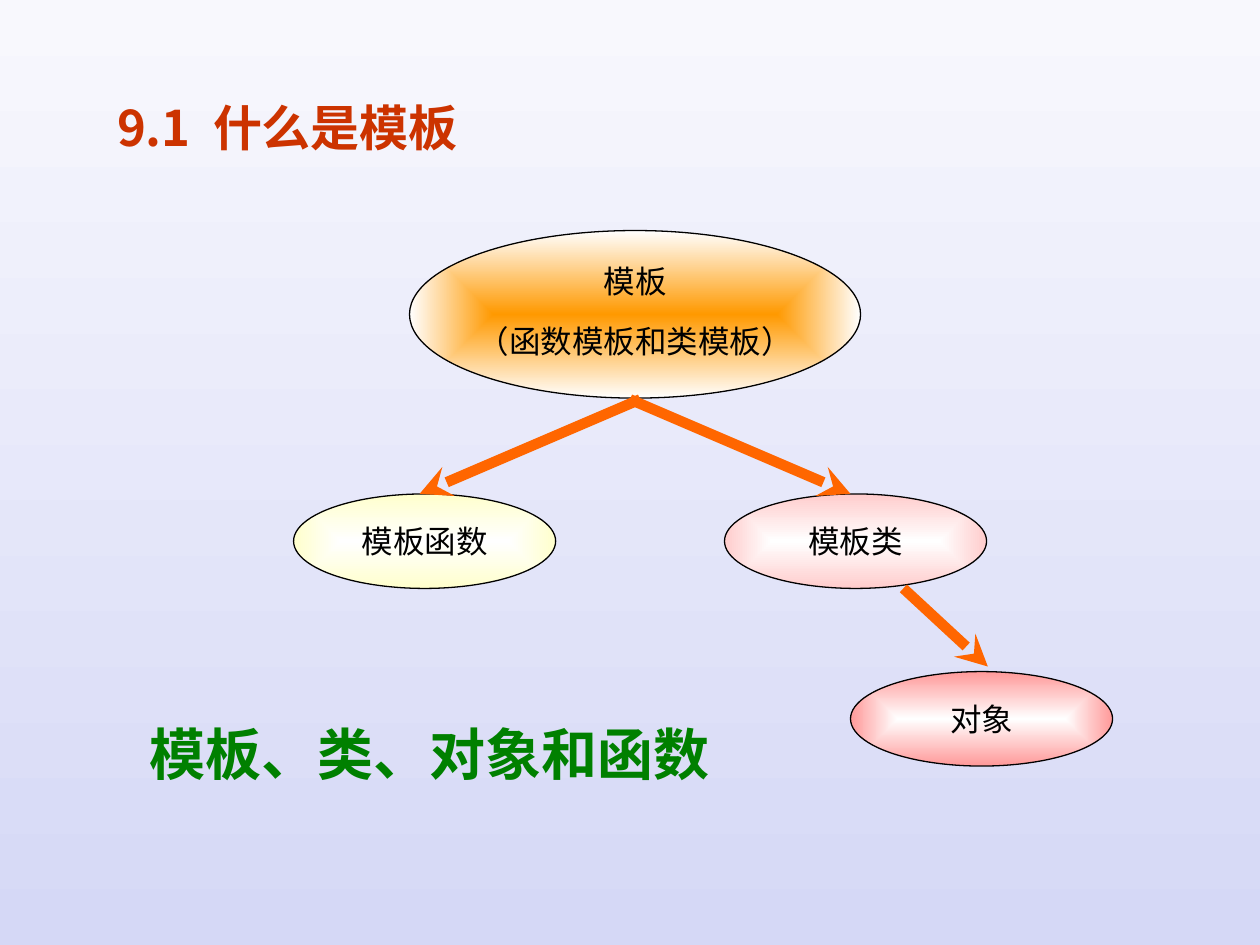
import pptx
import pptx.util
import pptx.dml.color
import pptx.enum.dml
import pptx.enum.shapes
import pptx.enum.text
import pptx.oxml
import pptx.oxml.ns
from lxml import etree

Inches = pptx.util.Inches
Pt = pptx.util.Pt
RGBColor = pptx.dml.color.RGBColor
PP_ALIGN = pptx.enum.text.PP_ALIGN
MSO_ANCHOR = pptx.enum.text.MSO_ANCHOR
MSO_AUTO_SIZE = pptx.enum.text.MSO_AUTO_SIZE
qn = pptx.oxml.ns.qn

BLACK = RGBColor(0x00, 0x00, 0x00)
WHITE = RGBColor(0xFF, 0xFF, 0xFF)
RED = RGBColor(0xCC, 0x33, 0x00)
GREEN = RGBColor(0x00, 0x80, 0x00)
ORANGE = RGBColor(0xFF, 0x66, 0x00)
AMBER = RGBColor(0xFF, 0x99, 0x00)
CREAM = RGBColor(0xFF, 0xFF, 0xCC)
PINK = RGBColor(0xFF, 0xCC, 0xCC)
ROSE = RGBColor(0xFF, 0x99, 0x99)
BG_TOP = RGBColor(0xF8, 0xF8, 0xFD)
BG_BOTTOM = RGBColor(0xD5, 0xD8, 0xF6)

CJK = "Noto Sans CJK SC"
SERIF = "Times New Roman"

TITLE = "9.1  什么是模板"
CAPTION = "模板、类、对象和函数"
BIG = (3.58, 1.33)
SMALL = (2.08, 0.75)
NODES = [
    ((3.25, 1.83), BIG, AMBER, WHITE, [("模板", 0.8), ("（函数模板和类模板）", 1.6)]),
    ((2.33, 3.92), SMALL, WHITE, CREAM, [("模板函数", 1.0)]),
    ((5.75, 3.92), SMALL, WHITE, PINK, [("模板类", 1.0)]),
    ((6.75, 5.33), SMALL, WHITE, ROSE, [("对象", 1.0)]),
]
ARROWS = [
    ((5.08, 3.17), (3.33, 3.92)),
    ((5.0, 3.17), (6.75, 3.92)),
    ((7.17, 4.67), (7.84, 5.29)),
]


def add_text(p, text, size, font, color, bold=False):
    r = p.add_run()
    r.text = text
    r.font.size = Pt(size)
    r.font.name = font
    r.font.bold = bold
    r.font.color.rgb = color
    ea = etree.Element(qn("a:ea"), typeface=CJK)
    r.font._element.find(qn("a:latin")).addnext(ea)


def set_gradient(fill, start, end):
    fill.gradient()
    for stop, position, color in zip(fill.gradient_stops, (0, 1), (start, end)):
        stop.position = position
        stop.color.rgb = color


def add_node(s, pos, size, inner, outer, lines):
    oval = pptx.enum.shapes.MSO_SHAPE.OVAL
    sp = s.shapes.add_shape(oval, *(Inches(v) for v in pos + size))
    sp.shadow.inherit = False
    set_gradient(sp.fill, inner, outer)
    lin = sp._element.spPr.find(qn("a:gradFill")).find(qn("a:lin"))
    centre = etree.Element(qn("a:path"), {"path": "rect"})
    etree.SubElement(centre, qn("a:fillToRect"), {side: "50000" for side in "ltrb"})
    lin.getparent().replace(lin, centre)
    sp.line.color.rgb = BLACK
    sp.line.width = Pt(0.75)
    tf = sp.text_frame
    tf.word_wrap = False
    tf.vertical_anchor = MSO_ANCHOR.MIDDLE
    for i, (text, spacing) in enumerate(lines):
        p = tf.add_paragraph() if i else tf.paragraphs[0]
        p.alignment = PP_ALIGN.CENTER
        p.line_spacing = spacing
        add_text(p, text, 18, SERIF, BLACK)


def add_arrow(s, start, end):
    straight = pptx.enum.shapes.MSO_CONNECTOR.STRAIGHT
    line = s.shapes.add_connector(straight, *(Inches(v) for v in start + end))
    line.line.color.rgb = ORANGE
    line.line.width = Pt(6)
    etree.SubElement(line.line._get_or_add_ln(), qn("a:tailEnd"), type="stealth")
    etree.SubElement(line._element.spPr, qn("a:effectLst"))


def main():
    prs = pptx.Presentation()
    prs.slide_width, prs.slide_height = Inches(10), Inches(7.5)
    s = prs.slides.add_slide(prs.slide_layouts[5])
    set_gradient(s.background.fill, BG_TOP, BG_BOTTOM)
    s.background.fill.gradient_angle = 270

    title = s.shapes.title
    title.left, title.top = Inches(0.83), Inches(0.67)
    title.width, title.height = Inches(6.08), Inches(0.67)
    tf = title.text_frame
    tf.auto_size = MSO_AUTO_SIZE.NONE
    tf.vertical_anchor = MSO_ANCHOR.MIDDLE
    tf.paragraphs[0].alignment = PP_ALIGN.LEFT
    add_text(tf.paragraphs[0], TITLE, 28, CJK, RED, True)

    for node in NODES:
        add_node(s, *node)

    caption = s.shapes.add_textbox(Inches(1.09), Inches(5.66), Inches(4.65), Inches(0.64))
    tf = caption.text_frame
    tf.word_wrap = False
    tf.auto_size = MSO_AUTO_SIZE.SHAPE_TO_FIT_TEXT
    add_text(tf.paragraphs[0], CAPTION, 32, SERIF, GREEN, True)

    for start, end in ARROWS:
        add_arrow(s, start, end)

    prs.save("out.pptx")


if __name__ == "__main__":
    main()
